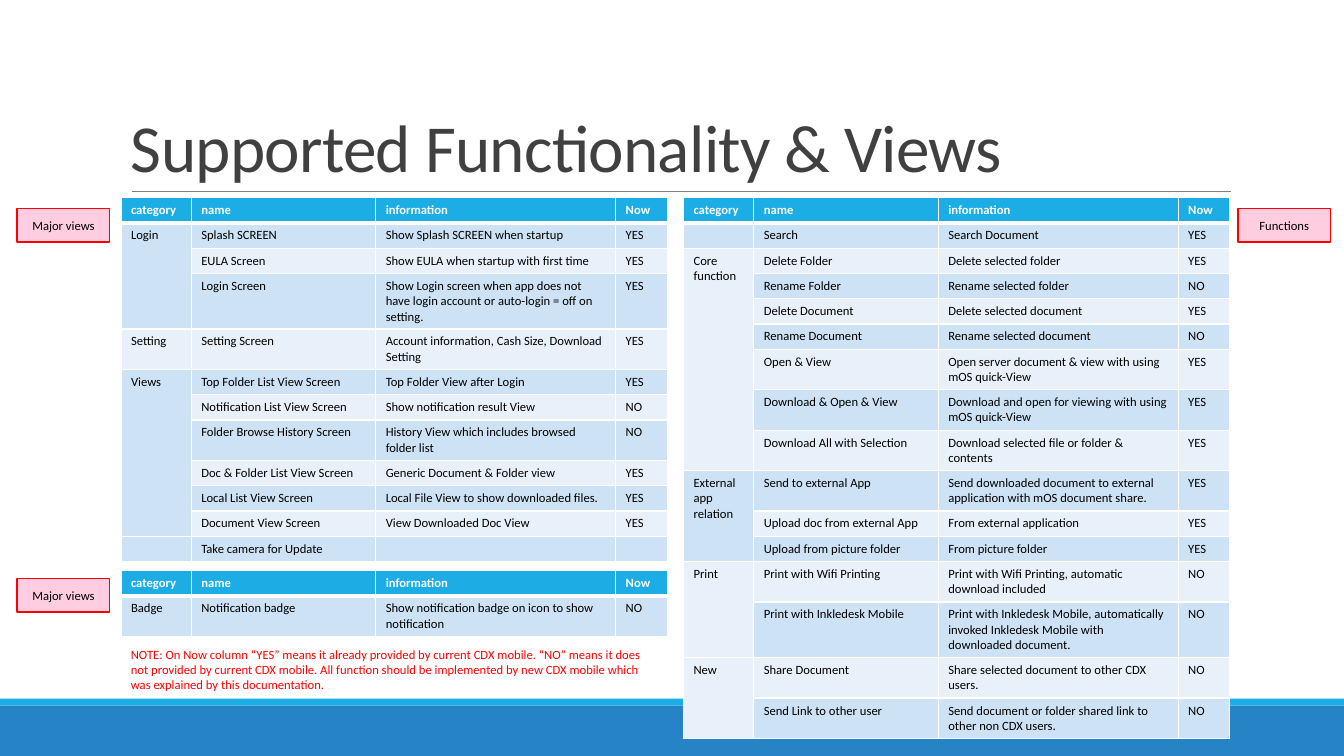
from lxml.etree import SubElement
from pptx import Presentation
from pptx.dml.color import RGBColor
from pptx.enum.shapes import MSO_CONNECTOR, MSO_SHAPE
from pptx.enum.text import MSO_ANCHOR, PP_ALIGN
from pptx.oxml.ns import qn
from pptx.util import Pt

FONT = "Calibri"
BLACK, WHITE, RED = "000000", "FFFFFF", "FF0000"
HEADER_FILL = "1CADE4"
BAND_FILLS = ("CDE3F5", "E8F1FA")
COLUMN_WIDTHS = (50.2, 131.8, 171.4, 36.8)
ROW_HEIGHT = 17
LEFT, RIGHT, TABLE_TOP = 86.4, 488.2, 141.1
HEADINGS = ("category", "name", "information", "Now")

VIEWS = [
    ("Login", [
        ("Splash SCREEN", "Show Splash SCREEN when startup", "YES"),
        ("EULA Screen", "Show EULA when startup with first time", "YES"),
        ("Login Screen", "Show Login screen when app does not have login account "
         "or auto-login = off on setting.", "YES"),
    ]),
    ("Setting", [
        ("Setting Screen", "Account information, Cash Size, Download Setting", "YES"),
    ]),
    ("Views", [
        ("Top Folder List View Screen", "Top Folder View after Login", "YES"),
        ("Notification List View Screen", "Show notification result View", "NO"),
        ("Folder Browse History Screen", "History View which includes browsed folder list", "NO"),
        ("Doc & Folder List View Screen", "Generic Document & Folder view", "YES"),
        ("Local List View Screen", "Local File View to show downloaded files.", "YES"),
        ("Document View Screen", "View Downloaded Doc View", "YES"),
    ]),
    ("", [("Take camera for Update", "", "")]),
]

BADGES = [
    ("Badge", [
        ("Notification badge", "Show notification badge on icon to show notification", "NO"),
    ]),
]

FUNCTIONS = [
    ("", [("Search", "Search Document", "YES")]),
    ("Core function", [
        ("Delete Folder", "Delete selected folder", "YES"),
        ("Rename Folder", "Rename selected folder", "NO"),
        ("Delete Document", "Delete selected document", "YES"),
        ("Rename Document", "Rename selected document", "NO"),
        ("Open & View", "Open server document & view with using mOS quick-View", "YES"),
        ("Download & Open & View", "Download and open for viewing with using mOS quick-View",
         "YES"),
        ("Download All with Selection", "Download selected file or folder & contents", "YES"),
    ]),
    ("External app relation", [
        ("Send to external App", "Send downloaded document to external application with "
         "mOS document share.", "YES"),
        ("Upload doc from external App", "From external application", "YES"),
        ("Upload from picture folder", "From picture folder", "YES"),
    ]),
    ("Print", [
        ("Print with Wifi Printing", "Print with Wifi Printing, automatic download included",
         "NO"),
        ("Print with Inkledesk Mobile", "Print with Inkledesk Mobile, automatically invoked "
         "Inkledesk Mobile with downloaded document.", "NO"),
    ]),
    ("New", [
        ("Share Document", "Share selected document to other CDX users.", "NO"),
        ("Send Link to other user", "Send document or folder shared link to other non CDX users.",
         "NO"),
    ]),
]

NOTE = ("NOTE: On Now column “YES” means it already provided by current CDX mobile. "
        "“NO” means it does not provided by current CDX mobile. All function should be "
        "implemented by new CDX mobile which was explained by this documentation.")


def rgb(hex_code):
    """Return the colour for a hex string."""
    return RGBColor.from_string(hex_code)


def write(frame, text, size, color, bold=False):
    """Put one paragraph of formatted text in a text frame and return it."""
    frame.text = text
    paragraph = frame.paragraphs[0]
    for run in paragraph.runs:
        run.font.name = FONT
        run.font.size = Pt(size)
        run.font.bold = bold
        run.font.color.rgb = rgb(color)
    if not text:
        SubElement(paragraph._p, qn("a:endParaRPr"), sz=str(size * 100))
    return paragraph


def add_text(slide, box, text, size, color):
    """Add a wrapped text box and return its text frame."""
    frame = slide.shapes.add_textbox(*map(Pt, box)).text_frame
    frame.word_wrap = True
    write(frame, text, size, color)
    return frame


def add_bar(slide, box, fill):
    """Add a plain rectangle without outline and return it."""
    bar = slide.shapes.add_shape(MSO_SHAPE.RECTANGLE, *map(Pt, box))
    bar.shadow.inherit = False
    bar.fill.solid()
    bar.fill.fore_color.rgb = rgb(fill)
    bar.line.fill.background()
    return bar


def add_tag(slide, left, top, text):
    """Add a pale pink label with a red outline."""
    tag = add_bar(slide, (left, top, 66.2, 23.8), "FF0066")
    tint = tag.fill._xPr.find(qn("a:solidFill"))[0]
    SubElement(tint, qn("a:alpha"), val="20000")
    tag.line.color.rgb = rgb(RED)
    tag.line.width = Pt(1)
    tag.text_frame.word_wrap = False
    tag.text_frame.vertical_anchor = MSO_ANCHOR.MIDDLE
    write(tag.text_frame, text, 9, BLACK).alignment = PP_ALIGN.CENTER


def add_rule(slide, left, right, y):
    """Add the thin grey line under the title."""
    rule = slide.shapes.add_connector(MSO_CONNECTOR.STRAIGHT, Pt(left), Pt(y), Pt(right), Pt(y))
    rule.line.color.rgb = rgb("808080")
    rule.line.width = Pt(0.5)
    SubElement(rule._element.spPr, qn("a:effectLst"))


def set_borders(cell, top, bottom):
    """Give a cell white borders with the given top and bottom widths."""
    properties = cell._tc.get_or_add_tcPr()
    for position, (side, width) in enumerate(zip("LRTB", (1, 1, top, bottom))):
        border = SubElement(properties, qn(f"a:ln{side}"), w=str(Pt(width)))
        paint = SubElement(border, qn("a:solidFill"))
        SubElement(paint, qn("a:srgbClr"), val=WHITE)
        properties.insert(position, border)


def fill_row(table, row, texts):
    """Write and colour one table row, the first one as header."""
    is_header = row == 0
    fill = HEADER_FILL if is_header else BAND_FILLS[(row - 1) % 2]
    table.rows[row].height = Pt(ROW_HEIGHT)
    for column, text in enumerate(texts):
        cell = table.cell(row, column)
        write(cell.text_frame, text, 9, WHITE if is_header else BLACK, is_header)
        cell.fill.solid()
        cell.fill.fore_color.rgb = rgb(fill)
        set_borders(cell, 3 if row == 1 else 1, 3 if is_header else 1)


def add_feature_table(slide, left, top, height, groups):
    """Add a table of features whose category cells span their group."""
    row_count = 1 + sum(len(features) for _, features in groups)
    holder = slide.shapes.add_table(row_count, len(HEADINGS), Pt(left), Pt(top),
                                    Pt(sum(COLUMN_WIDTHS)), Pt(height))
    table = holder.table
    for column, width in zip(table.columns, COLUMN_WIDTHS):
        column.width = Pt(width)
    fill_row(table, 0, HEADINGS)
    row = 1
    for category, features in groups:
        first = row
        for feature in features:
            fill_row(table, row, (category if row == first else "", *feature))
            row += 1
        if len(features) > 1:
            table.cell(first, 0).merge(table.cell(row - 1, 0))
    holder.height = Pt(height)


def main():
    """Build the slide and save it."""
    deck = Presentation()
    deck.slide_width, deck.slide_height = Pt(960), Pt(540)
    slide = deck.slides.add_slide(deck.slide_layouts[6])

    add_bar(slide, (0, 504, 960, 36), "2683C6")
    add_bar(slide, (0, 499, 960, 5), HEADER_FILL)
    add_rule(slide, 94.3, 879, 136.8)

    title = add_text(slide, (LEFT, 22.5, 792, 114.3), "Supported Functionality & Views",
                     48, "404040")
    title.vertical_anchor = MSO_ANCHOR.BOTTOM
    title.paragraphs[0].line_spacing = 0.85
    title.paragraphs[0].runs[0].font._element.set("spc", "-50")

    add_feature_table(slide, LEFT, TABLE_TOP, 259.2, VIEWS)
    add_feature_table(slide, RIGHT, TABLE_TOP, 385.2, FUNCTIONS)
    add_feature_table(slide, LEFT, 407.5, 46.8, BADGES)

    add_tag(slide, 12.2, 149, "Major views")
    add_tag(slide, 12.2, 413.3, "Major views")
    add_tag(slide, 884.2, 149, "Functions")
    add_text(slide, (LEFT, 458.6, 390.2, 40.3), NOTE, 9, RED)

    deck.save("out.pptx")


if __name__ == "__main__":
    main()
